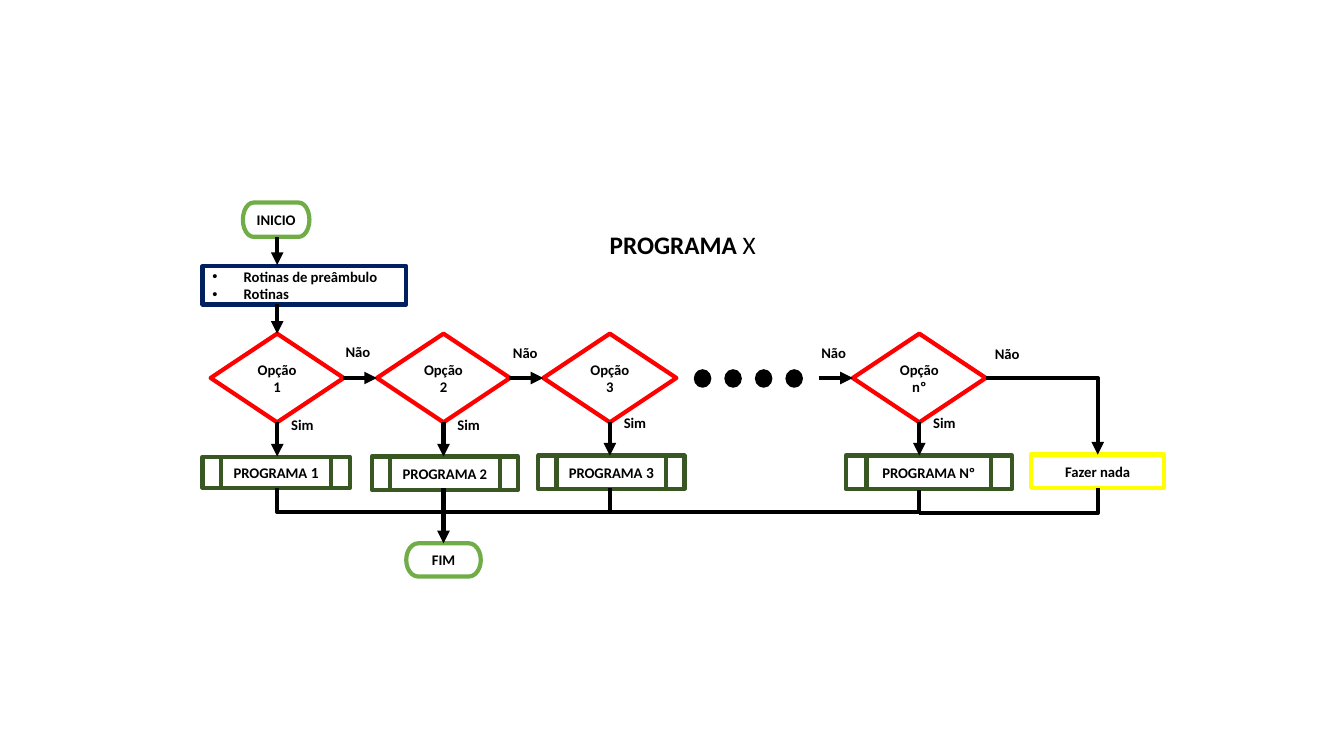
from lxml import etree
from pptx import Presentation
from pptx import util as u
from pptx.dml.color import RGBColor
from pptx.enum import shapes, text
from pptx.oxml.ns import qn

COLORS = {"ink": "000000", "terminal": "70AD47", "decision": "FF0000",
          "preamble": "002060", "program": "385723", "idle": "FFFF00"}
COLUMNS, ROWS = 133.33, 75
KIND = shapes.MSO_SHAPE
CENTER, LEFT = text.PP_ALIGN.CENTER, text.PP_ALIGN.LEFT


def rgb(name):
    return RGBColor.from_string(COLORS[name])


def write(frame, paragraphs, align=LEFT, size=10.5, wrap=True, bullet=False):
    """Fill a frame with paragraphs, each a list of (words, format changes)."""
    frame.word_wrap = wrap
    for index, runs in enumerate(paragraphs):
        paragraph = frame.add_paragraph() if index else frame.paragraphs[0]
        paragraph.alignment = align
        if bullet:
            properties = paragraph._p.get_or_add_pPr()
            properties.set("marL", str(u.Inches(0.31)))
            properties.set("indent", str(-u.Inches(0.31)))
            font = etree.SubElement(properties, qn("a:buFont"))
            font.set("typeface", "Arial")
            etree.SubElement(properties, qn("a:buChar")).set("char", "•")
        for words, changes in runs:
            run = paragraph.add_run()
            run.text = words
            run.font.name = "Calibri"
            run.font.size = u.Pt(changes.get("size", size))
            run.font.bold = changes.get("bold", True)
            run.font.color.rgb = rgb("ink")


class Flowchart:
    """Draws flowchart elements on one slide, in grid columns and rows."""

    def __init__(self, deck):
        self.slide = deck.slides.add_slide(deck.slide_layouts[6])
        self.column = deck.slide_width / COLUMNS
        self.row = deck.slide_height / ROWS
        self.weight = 3

    def place(self, *lengths):
        return [round(length * (self.row if index % 2 else self.column))
                for index, length in enumerate(lengths)]

    def node(self, kind, box, color, paragraphs=(), filled=False, weight=None, **style):
        shape = self.slide.shapes.add_shape(kind, *self.place(*box))
        shape.shadow.inherit = False
        shape.line.color.rgb = rgb(color)
        shape.line.width = u.Pt(weight or self.weight)
        if filled:
            shape.fill.solid()
            shape.fill.fore_color.rgb = rgb(color)
        else:
            shape.fill.background()
        shape.text_frame.vertical_anchor = text.MSO_ANCHOR.MIDDLE
        write(shape.text_frame, paragraphs, **{"align": CENTER, **style})

    def label(self, box, runs, **style):
        frame = self.slide.shapes.add_textbox(*self.place(*box)).text_frame
        write(frame, [runs], wrap=False, **style)

    def line(self, start, end, arrow=True, kind=shapes.MSO_CONNECTOR.STRAIGHT):
        link = self.slide.shapes.add_connector(kind, *self.place(*start, *end))
        link.line.color.rgb = rgb("ink")
        link.line.width = u.Pt(self.weight)
        if arrow:
            tail = etree.SubElement(link.line._get_or_add_ln(), qn("a:tailEnd"))
            tail.set("type", "triangle")
        properties = link._element.spPr
        etree.SubElement(properties, qn("a:effectLst"))
        return properties

    def elbow(self, start, end, turn=0, drop=None, arrow=False):
        """Join two points by one corner, or by a U that sinks by drop."""
        middle_x, middle_y = (start[0] + end[0]) / 2, (start[1] + end[1]) / 2
        half_w, half_h = abs(end[0] - start[0]) / 2, abs(end[1] - start[1]) / 2
        if turn:
            half_w, half_h = half_h, half_w
        side = -half_w if drop else half_w
        properties = self.line((middle_x - side, middle_y - half_h),
                               (middle_x + side, middle_y + half_h),
                               arrow, shapes.MSO_CONNECTOR.ELBOW)
        properties.find(qn("a:xfrm")).set("rot", str(turn * 60000))
        geometry = properties.find(qn("a:prstGeom"))
        geometry.set("prst", "bentConnector3" if drop else "bentConnector2")
        if drop:
            guides = geometry.find(qn("a:avLst"))
            if guides is None:
                guides = etree.SubElement(geometry, qn("a:avLst"))
            guide = etree.SubElement(guides, qn("a:gd"))
            guide.set("name", "adj1")
            guide.set("fmla", f"val {round(drop / (2 * half_w) * 100000)}")


deck = Presentation()
deck.slide_width, deck.slide_height = u.Inches(13.33), u.Inches(7.5)
chart = Flowchart(deck)

AXIS, DECISION_TOP, DECISION_W, DECISION_H = 37.5, 33.1, 13.2, 8.8
DECISION_BOTTOM = DECISION_TOP + DECISION_H
PROGRAM_BOTTOM, BUS = 48.4, 50.8
first, second, third, last = centers = [27.5, 44, 60.5, 91.2]
idle = 108.9

chart.label((59.5, 22.3, 16.7, 4), [("PROGRAMA", {}), (" X", {"bold": False})], size=18)
for name, box in (("INICIO", (24.1, 20.1, 6.6, 3.4)), ("FIM", (40.3, 53.9, 7.4, 3.3))):
    chart.node(KIND.FLOWCHART_TERMINATOR, box, "terminal", [[(name, {})]], wrap=False)
chart.node(KIND.FLOWCHART_PROCESS, (20.1, 26.4, 20.2, 3.8), "preamble",
           [[("Rotinas de preâmbulo", {})], [("Rotinas", {})]], align=LEFT, bullet=True)
chart.node(KIND.FLOWCHART_PROCESS, (102.3, 45.1, 13.2, 3.3), "idle", [[("Fazer nada", {})]])

branches = [("1", 11, (20.1, 45.3, 14.6, 3.1), 40.8),
            ("2", 10.5, (36.9, 45.3, 14.5, 3.3), 40.8),
            ("3", 11, (53.4, 45.2, 14.5, 3.3), 40.6),
            ("º", 10.5, (83.9, 45.2, 16.5, 3.3), 40.6)]
for center, (number, size, program, yes_top) in zip(centers, branches):
    option, suffix = ("nº", " Nº") if number == "º" else (number, f" {number}")
    chart.node(KIND.FLOWCHART_DECISION,
               (center - DECISION_W / 2, DECISION_TOP, DECISION_W, DECISION_H),
               "decision", [[(f"Opção {option}", {})]])
    chart.node(KIND.FLOWCHART_PREDEFINED_PROCESS, program, "program",
               [[("PROGRAMA", {}), (suffix, {"size": size})]])
    chart.line((center, DECISION_BOTTOM), (center, program[1]))
    chart.label((center + 0.4, yes_top, 4.3, 2.8), [("Sim", {})])

for left, top in ((33.3, 33.5), (49.9, 33.6), (80.5, 33.6), (97.7, 33.7)):
    chart.label((left, top, 4.5, 2.8), [("Não", {})])
for target in (second, third, last):
    edge = target - DECISION_W / 2
    chart.line((edge - 3.4, AXIS), (edge, AXIS))
for step in range(4):
    chart.node(KIND.FLOWCHART_CONNECTOR, (68.9 + step * 3.03, 36.7, 1.6, 1.7),
               "ink", filled=True, weight=1)

chart.line((first, 23.5), (first, 26.3))
chart.line((first, 30.2), (first, DECISION_TOP))
chart.line((second, 48.4), (second, 53.9))
for left, right in ((first, second), (second, third), (third, last)):
    chart.elbow((left, PROGRAM_BOTTOM), (right, PROGRAM_BOTTOM + 0.2),
                turn=270, drop=BUS - PROGRAM_BOTTOM)
chart.elbow((last + DECISION_W / 2, AXIS), (idle, 45.1), arrow=True)
chart.elbow((idle, PROGRAM_BOTTOM), (last, BUS + 0.1), turn=90)

deck.save("out.pptx")
